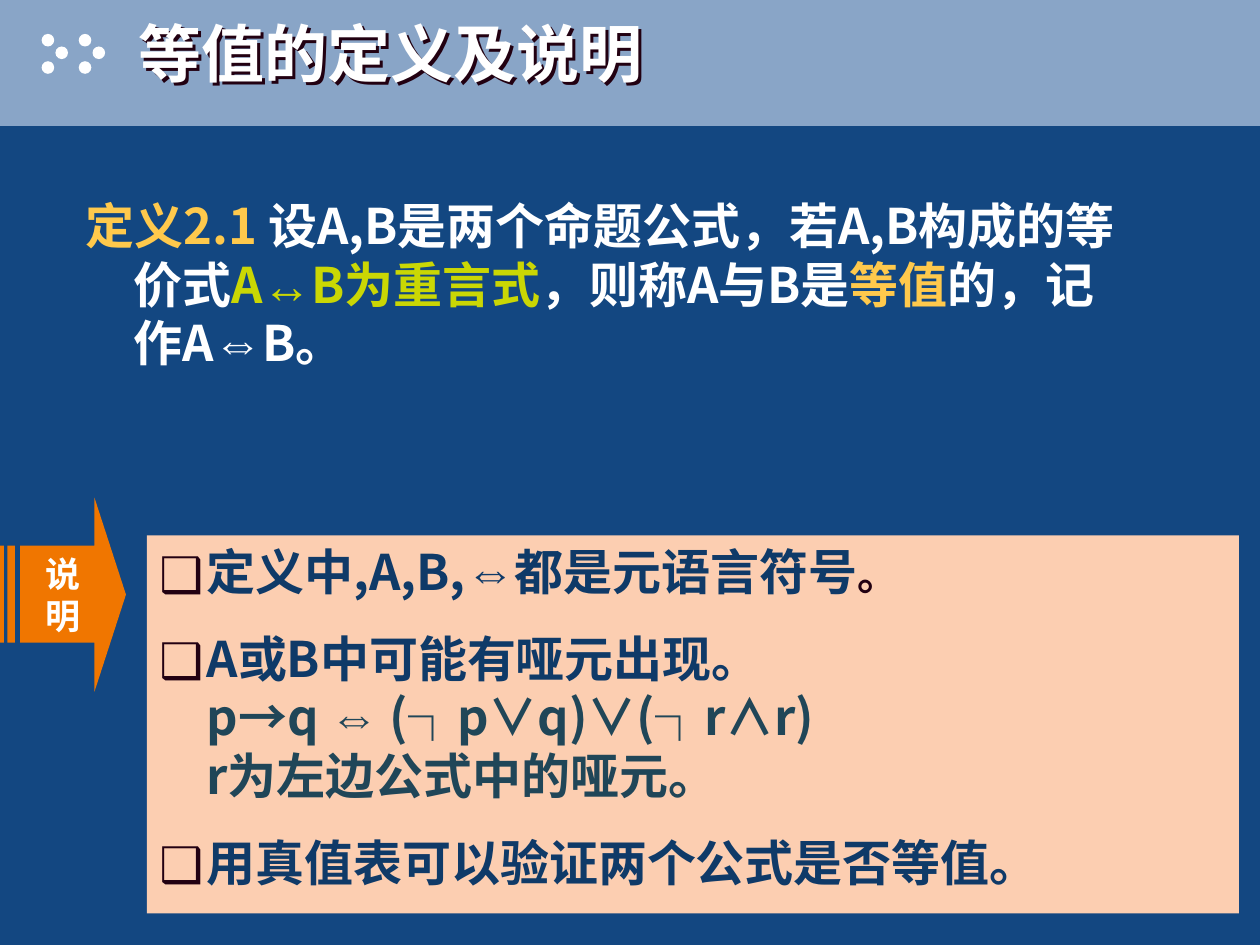
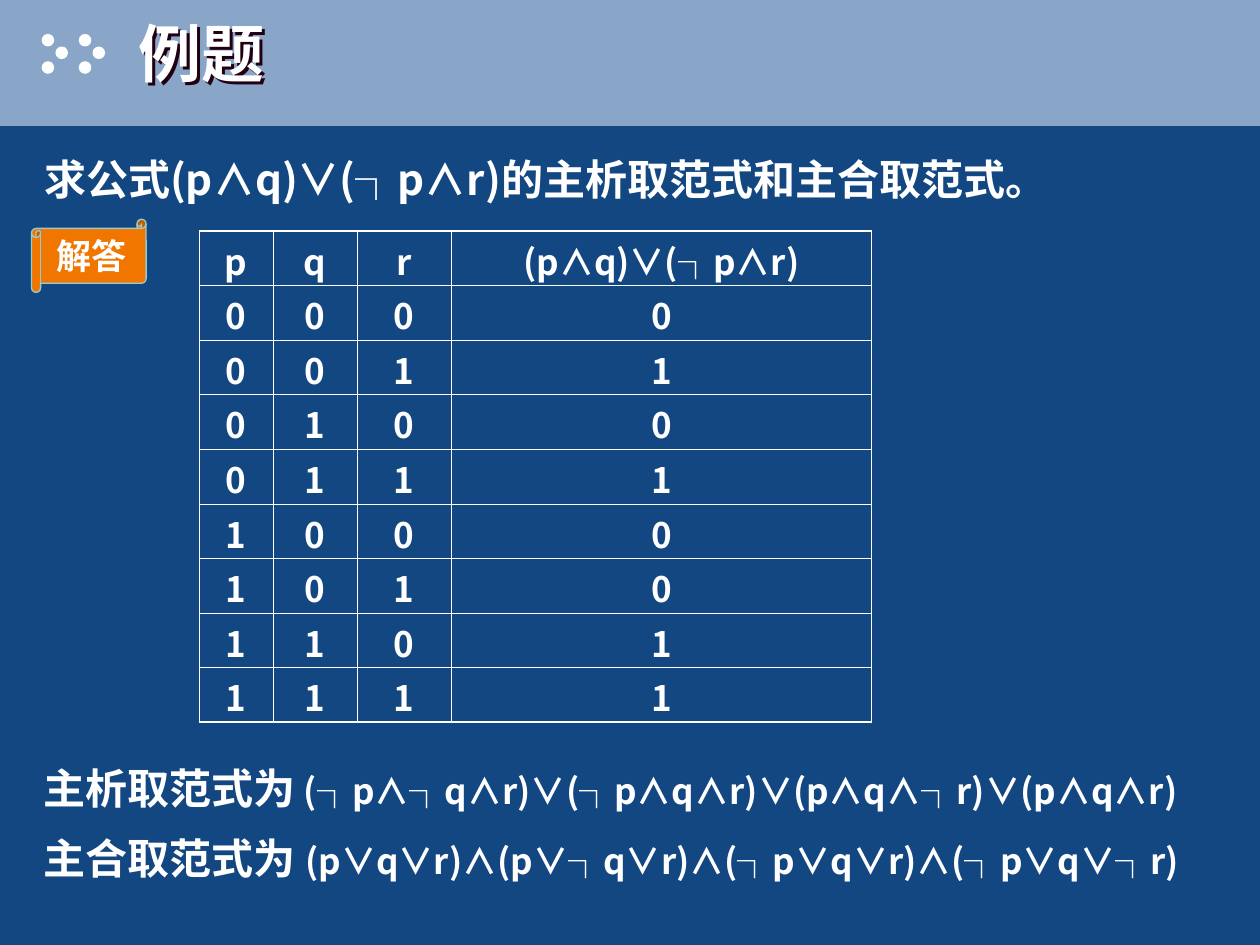
"""Build two slides on logical equivalence and normal forms."""
from dataclasses import dataclass
from itertools import product

from lxml.etree import SubElement
from pptx import Presentation
from pptx.dml.color import RGBColor
from pptx.enum.shapes import MSO_SHAPE as Preset
from pptx.enum.text import MSO_ANCHOR as Anchor, MSO_AUTO_SIZE as AutoSize, PP_ALIGN as Align
from pptx.oxml.ns import qn
from pptx.util import Pt

COLORS = {
    "navy": "134781", "band": "89A5C7", "white": "FFFFFF", "gold": "FFC94C",
    "lime": "CAD704", "orange": "F07600", "peach": "FCCEB1", "ink": "220011",
    "blue": "0F3A68", "teal": "204658", "scroll_edge": "99CCCC",
}
CJK, LATIN = "Noto Sans CJK SC", "Arial"
HANG = 27
FORMULA = "(p∧q)∨(┐p∧r)"


@dataclass(frozen=True)
class Box:
    left: float
    top: float
    width: float
    height: float

    def lengths(self) -> tuple:
        return Pt(self.left), Pt(self.top), Pt(self.width), Pt(self.height)


@dataclass(frozen=True)
class Span:
    text: str
    color: str | None = None
    size: float | None = None
    face: str | None = None


@dataclass(frozen=True)
class Para:
    spans: tuple[Span, ...]
    size: float
    color: str = "white"
    face: str = CJK
    before: float = 0
    hang: float = 0
    bullet: str | None = None
    align: Align = Align.LEFT


def rgb(name: str) -> RGBColor:
    return RGBColor.from_string(COLORS[name])


def style_font(font, color: str | None, size: float | None, face: str | None) -> None:
    if color:
        font.color.rgb = rgb(color)
    if size:
        font.size = Pt(size)
    if face:
        font.name = face
        SubElement(font._rPr, qn("a:ea"), typeface=face)


def set_bullet(props, bullet: str | None, hang: float) -> None:
    props.set("marL", str(Pt(hang)))
    props.set("indent", str(-Pt(hang)))
    props.set("hangingPunct", "0")
    if bullet:
        color = SubElement(props, qn("a:buClr"))
        SubElement(color, qn("a:srgbClr"), val=COLORS["ink"])
        SubElement(props, qn("a:buFont"), typeface=CJK)
        SubElement(props, qn("a:buChar"), char=bullet)
    else:
        SubElement(props, qn("a:buNone"))


def write(frame, *paras: Para) -> None:
    for index, para in enumerate(paras):
        line = frame.add_paragraph() if index else frame.paragraphs[0]
        line.alignment = para.align
        line.space_before = Pt(para.before)
        set_bullet(line._p.get_or_add_pPr(), para.bullet, para.hang)
        line.font.bold = True
        style_font(line.font, para.color, para.size, para.face)
        for span in para.spans:
            for part_index, part in enumerate(span.text.split("\n")):
                if part_index:
                    line.add_line_break()
                if part:
                    run = line.add_run()
                    run.text = part
                    style_font(run.font, span.color, span.size, span.face)


def set_frame(shape, anchor: Anchor = Anchor.TOP, side: float = 7.2):
    frame = shape.text_frame
    frame.word_wrap = True
    frame.auto_size = AutoSize.NONE
    frame.vertical_anchor = anchor
    frame.margin_left = frame.margin_right = Pt(side)
    return frame


def place(shape, box: Box) -> None:
    shape.left, shape.top, shape.width, shape.height = box.lengths()


def paint(shape, fill: str, edge: str | None = None) -> None:
    shape.shadow.inherit = False
    shape.fill.solid()
    shape.fill.fore_color.rgb = rgb(fill)
    if edge:
        shape.line.color.rgb = rgb(edge)
        shape.line.width = Pt(0.75)
    else:
        shape.line.fill.background()


def add_shape(shapes, preset: Preset, box: Box, fill: str, edge: str | None = None):
    shape = shapes.add_shape(preset, *box.lengths())
    paint(shape, fill, edge)
    return shape


def add_text(page, box: Box, *paras: Para) -> None:
    write(set_frame(page.shapes.add_textbox(*box.lengths())), *paras)


def add_text_shadow(shape) -> None:
    shape.fill.background()
    effects = SubElement(shape.element.spPr, qn("a:effectLst"))
    shadow = SubElement(effects, qn("a:outerShdw"), dist=str(Pt(2)), dir="2700000")
    SubElement(shadow, qn("a:srgbClr"), val=COLORS["ink"])


def add_page(deck, layout: str, title: str):
    page = deck.slides.add_slide(deck.slide_layouts.get_by_name(layout))
    add_shape(page.shapes, Preset.RECTANGLE, Box(0, 0, 720, 72), "band")
    dots = page.shapes.add_group_shape()
    for chevron_left in (23.8, 45):
        for shift, top in ((0, 19.4), (7.9, 26.6), (0, 35)):
            add_shape(dots.shapes, Preset.OVAL, Box(chevron_left + shift, top, 7.2, 7.2), "white")
    heading = page.shapes.title
    heading.element.getparent().append(heading.element)
    place(heading, Box(72, 0, 648, 60))
    write(set_frame(heading, Anchor.MIDDLE), Para((Span(title),), 36))
    add_text_shadow(heading)
    return page


def add_arrow(page, label: str) -> None:
    top, bottom = 311.8, 367.2
    outline = page.shapes.build_freeform(Pt(54), Pt(284.4), scale=1.0)
    head = ((54, top), (11.5, top), (11.5, bottom), (54, bottom), (54, 395.3), (72, 339.8))
    outline.add_line_segments([(Pt(x), Pt(y)) for x, y in head], close=True)
    for left, right in ((4.3, 8.6), (0, 2.2)):
        outline.move_to(Pt(left), Pt(top))
        stripe = ((left, bottom), (right, bottom), (right, top))
        outline.add_line_segments([(Pt(x), Pt(y)) for x, y in stripe], close=True)
    arrow = outline.convert_to_shape()
    paint(arrow, "orange")
    write(set_frame(arrow, Anchor.MIDDLE, 22),
          Para((Span(label),), 20, face=LATIN, align=Align.CENTER))


def set_borders(cell, widths: dict[str, float]) -> None:
    props = cell._tc.get_or_add_tcPr()
    for side, width in widths.items():
        edge = SubElement(props, qn(f"a:ln{side}"), w=str(Pt(width)))
        fill = SubElement(edge, qn("a:solidFill"))
        SubElement(fill, qn("a:srgbClr"), val=COLORS["white"])
    cell.fill.background()


def add_truth_table(page) -> None:
    rows = [("p", "q", "r", FORMULA)]
    for p, q, r in product((0, 1), repeat=3):
        rows.append((p, q, r, int((p and q) or (not p and r))))
    widths = (42, 48, 54, 240)
    row_height, outer, inner = 31.2, 1.08, 0.45
    box = Box(114, 132, sum(widths), row_height * len(rows))
    table = page.shapes.add_table(len(rows), len(widths), *box.lengths()).table
    table.first_row = table.horz_banding = False
    for column, width in zip(table.columns, widths):
        column.width = Pt(width)
    for y, values in enumerate(rows):
        table.rows[y].height = Pt(row_height)
        for x, value in enumerate(values):
            cell = table.cell(y, x)
            cell.margin_top, cell.margin_bottom = Pt(2), Pt(0)
            write(cell.text_frame, Para((Span(str(value)),), 20, align=Align.CENTER))
            set_borders(cell, {
                "L": outer if x == 0 else inner,
                "R": outer if x == len(widths) - 1 else inner,
                "T": outer if y == 0 else inner,
                "B": outer if y == len(rows) - 1 else inner,
            })


def build_definition(deck) -> None:
    page = add_page(deck, "Title Only", "等值的定义及说明")
    add_text(page, Box(42, 108, 618, 132), Para((
        Span("定义2.1 ", "gold"),
        Span("设A,B是两个命题公式，若A,B构成的等价式"),
        Span("A", "lime"), Span("↔", "lime", face=LATIN), Span("B为重言式", "lime"),
        Span("，则称A与B是"), Span("等值", "gold"), Span("的，记作A"),
        Span("⇔", face=LATIN), Span("B。"),
    ), 28, before=13.5, hang=HANG))
    add_arrow(page, "说明")
    notes = (
        (13.5, (Span("定义中,A,B,"), Span("⇔", face=LATIN), Span("都是元语言符号"),
                Span("。", "ink", 24))),
        (15.8, (Span("A或B中可能有哑元出现。\n"), Span("p→q ", "teal"),
                Span("⇔", "teal", face=LATIN),
                Span(" (┐p∨q)∨(┐r∧r)\nr为左边公式中的哑元。", "teal"))),
        (15.8, (Span("用真值表可以验证两个公式是否等值。"),)),
    )
    panel = add_shape(page.shapes, Preset.RECTANGLE, Box(84, 306, 624, 216), "peach")
    write(set_frame(panel), *(
        Para(spans, 28, "blue", before=before, hang=HANG, bullet="❑")
        for before, spans in notes))


def build_example(deck) -> None:
    page = add_page(deck, "Title and Content", "例题")
    question = page.placeholders[1]
    place(question, Box(18, 84, 702, 36))
    write(set_frame(question), Para(
        (Span(f"求公式{FORMULA}的主析取范式和主合取范式。"),), 24, before=13.5, hang=HANG))
    scroll = add_shape(page.shapes, Preset.HORIZONTAL_SCROLL, Box(18, 125.3, 65.5, 41.8),
                       "orange", "scroll_edge")
    write(set_frame(scroll, Anchor.MIDDLE, 0),
          Para((Span("解答"),), 20, face=LATIN, align=Align.CENTER))
    add_truth_table(page)
    answers = (
        (13.5, "主析取范式为", " (┐p∧┐q∧r)∨(┐p∧q∧r)∨(p∧q∧┐r)∨(p∧q∧r)"),
        (11.2, "主合取范式为 ", "(p∨q∨r)∧(p∨┐q∨r)∧(┐p∨q∨r)∧(┐p∨q∨┐r)"),
    )
    add_text(page, Box(18, 432, 702, 90), *(
        Para((Span(name), Span(form, size=20)), 24, before=before, hang=HANG)
        for before, name, form in answers))


def main() -> None:
    deck = Presentation()
    deck.slide_width, deck.slide_height = Pt(720), Pt(540)
    backdrop = deck.slide_master.background.fill
    backdrop.solid()
    backdrop.fore_color.rgb = rgb("navy")
    build_definition(deck)
    build_example(deck)
    deck.save("out.pptx")


if __name__ == "__main__":
    main()
